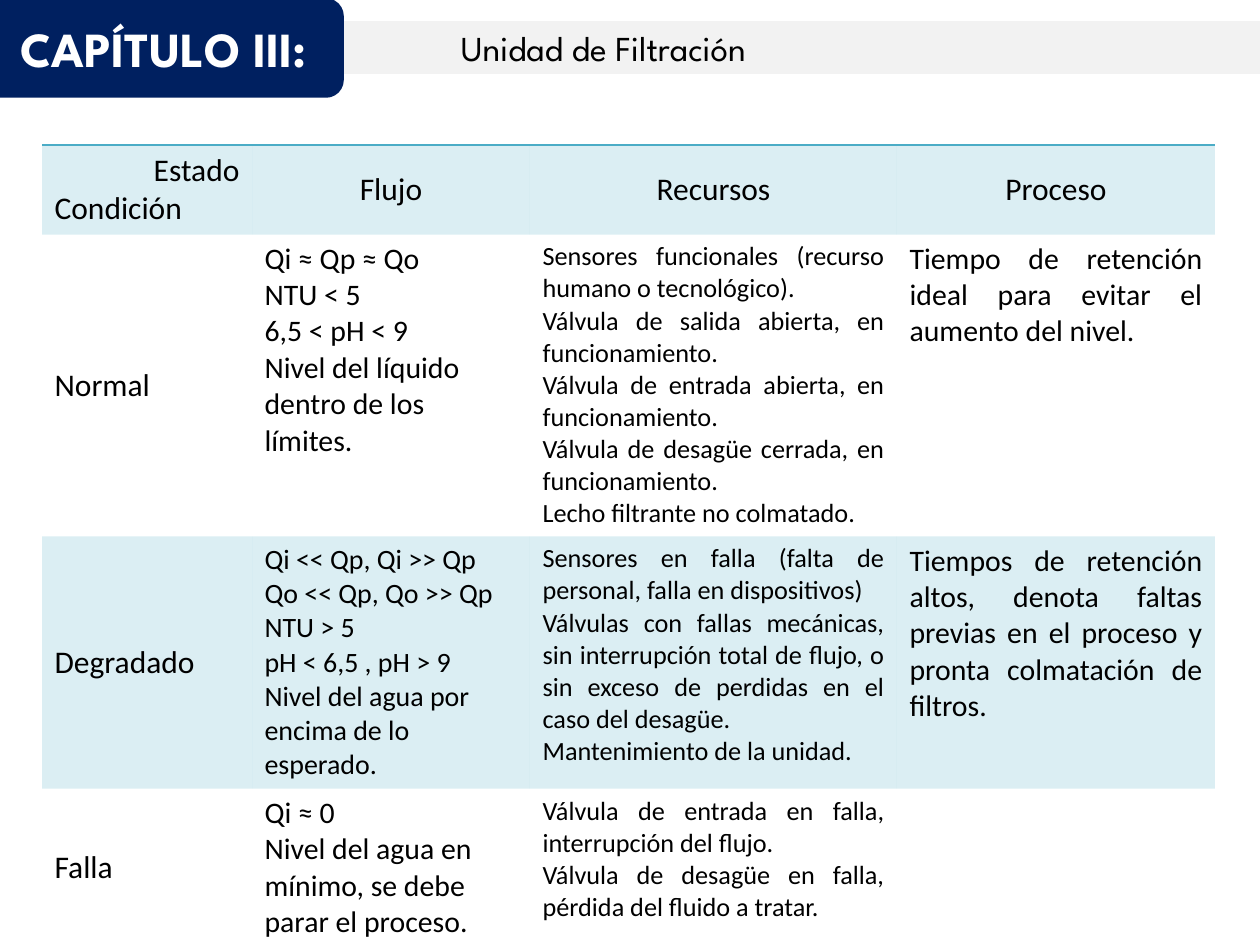
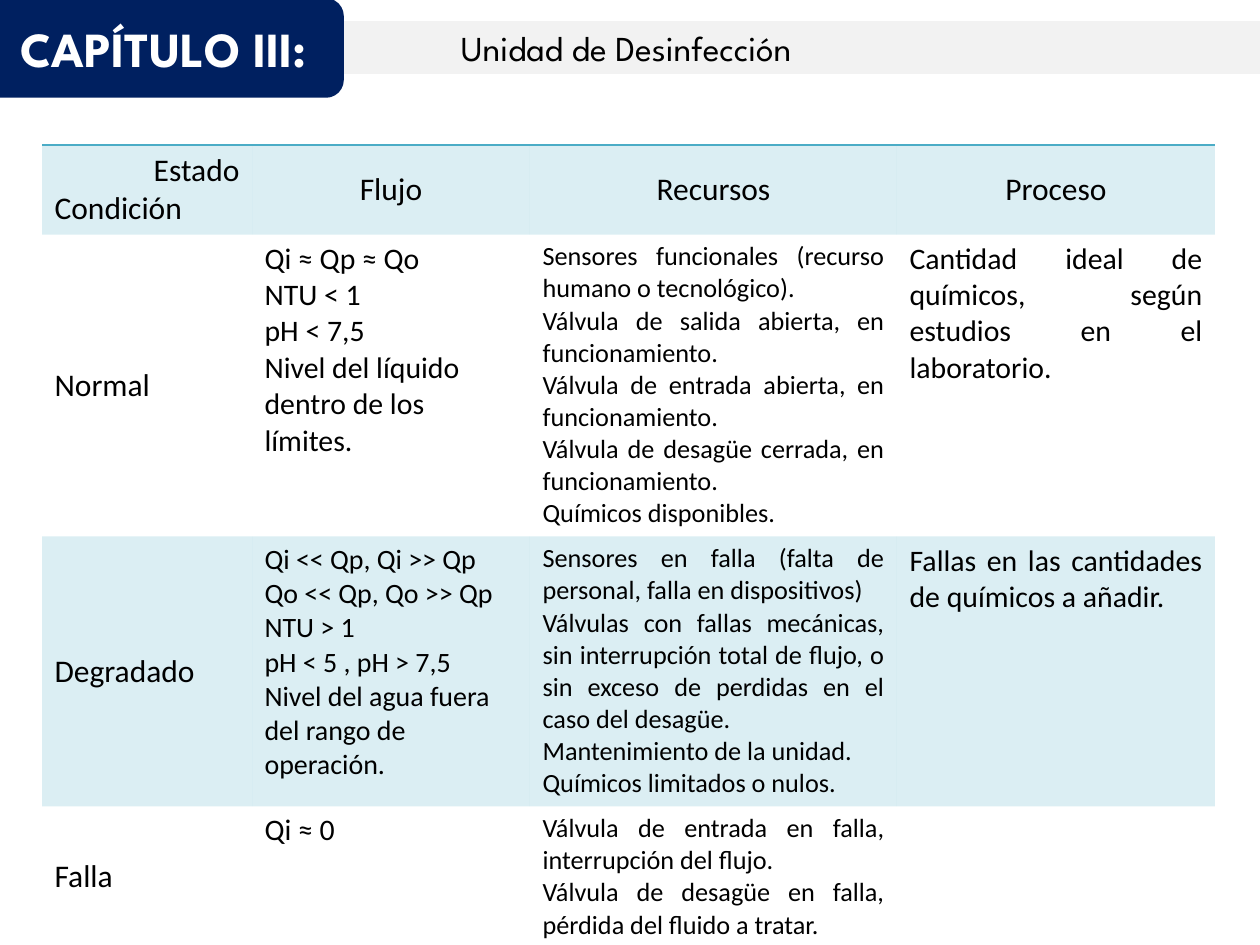
import lxml.etree
import pptx
import pptx.dml.color
import pptx.enum.shapes
import pptx.enum.text
import pptx.oxml.ns
import pptx.util

ALIGN = pptx.enum.text.PP_ALIGN
ANCHOR = pptx.enum.text.MSO_ANCHOR
COLORS = {"navy": "002060", "band": "F2F2F2", "accent": "4BACC6", "black": "000000", "white": "FFFFFF"}
TITLE_FONT, TABLE_FONT = "League Spartan", "Calibri"
NO_STYLE_TABLE = "{2D5ABB26-0587-4C30-8999-92F81FD0307C}"
TINT_ALPHA = 20000

# Content
CHAPTER = "CAPÍTULO III:"
CORNER = ["Estado", "Condición"]
HEADINGS = ["Flujo", "Recursos", "Proceso"]
STATES = ["Normal", "Degradado", "Falla"]
NORMAL_FLOW = "Nivel del líquido dentro de los límites."
NORMAL_RESOURCES = [
    "Sensores funcionales (recurso humano o tecnológico).",
    "Válvula de salida abierta, en funcionamiento.",
    "Válvula de entrada abierta, en funcionamiento.",
    "Válvula de desagüe cerrada, en funcionamiento.",
]
DEGRADED_FLOW = ["Qi << Qp, Qi >> Qp", "Qo << Qp, Qo >> Qp"]
DEGRADED_RESOURCES = [
    "Sensores en falla (falta de personal, falla en dispositivos)",
    "Válvulas con fallas mecánicas, sin interrupción total de flujo, "
    "o sin exceso de perdidas en el caso del desagüe.",
    "Mantenimiento de la unidad.",
]
FAILURE_RESOURCES = [
    "Válvula de entrada en falla, interrupción del flujo.",
    "Válvula de desagüe en falla, pérdida del fluido a tratar.",
]
# Each unit has one row per state: flow, resources, process
UNITS = {
    "Unidad de Filtración": [
        (["Qi ≈ Qp ≈ Qo", "NTU < 5", "6,5 < pH < 9", NORMAL_FLOW],
         NORMAL_RESOURCES + ["Lecho filtrante no colmatado."],
         ["Tiempo de retención ideal para evitar el aumento del nivel."]),
        (DEGRADED_FLOW + ["NTU > 5", "pH < 6,5 , pH > 9", "Nivel del agua por encima de lo esperado."],
         DEGRADED_RESOURCES,
         ["Tiempos de retención altos, denota faltas previas en el proceso "
          "y pronta colmatación de filtros."]),
        (["Qi ≈ 0", "Nivel del agua en mínimo, se debe parar el proceso."], FAILURE_RESOURCES, []),
    ],
    "Unidad de Desinfección": [
        (["Qi ≈ Qp ≈ Qo", "NTU < 1", "pH < 7,5", NORMAL_FLOW],
         NORMAL_RESOURCES + ["Químicos disponibles."],
         ["Cantidad ideal de químicos, según estudios en el laboratorio."]),
        (DEGRADED_FLOW + ["NTU > 1", "pH < 5 , pH > 7,5", "Nivel del agua fuera del rango de operación."],
         DEGRADED_RESOURCES + ["Químicos limitados o nulos."],
         ["Fallas en las cantidades de químicos a añadir."]),
        (["Qi ≈ 0"], FAILURE_RESOURCES, []),
    ],
}

# Layout in px
PX_PER_INCH = 126
SLIDE_SIZE = (1260, 945)
BAND_BOX = (323, 23, 937, 49)
BAND_INDENT = 138
BADGE_BOX = (-15, 0, 357, 96)
TABLE_LEFT, TABLE_TOP = 42, 145
COLUMN_WIDTHS = [210, 278, 367, 318]
ROW_HEIGHTS = [84, 253, 223, 123]
# Text size of flow, resources and process in each state
BODY_SIZES = [(17, 15, 17), (16, 15, 17), (17, 15, 17)]


def px(length):
    return pptx.util.Emu(round(length * pptx.util.Inches(1) / PX_PER_INCH))


def rgb(name):
    return pptx.dml.color.RGBColor.from_string(COLORS[name])


def write_text(frame, lines, size=18, font=TABLE_FONT, color="black", bold=False, aligns=(ALIGN.LEFT,)):
    """Write one paragraph per line; the last alignment covers the remaining lines."""
    for index, line in enumerate(lines):
        paragraph = frame.add_paragraph() if index else frame.paragraphs[0]
        paragraph.alignment = aligns[min(index, len(aligns) - 1)]
        run = paragraph.add_run()
        run.text = line
        run.font.size = pptx.util.Pt(size)
        run.font.name = font
        run.font.bold = bold
        run.font.color.rgb = rgb(color)


def style_box(shape, color):
    shape.fill.solid()
    shape.fill.fore_color.rgb = rgb(color)
    shape.line.color.rgb = rgb(color)
    shape.line.width = pptx.util.Pt(2)
    shape.shadow.inherit = False
    shape.text_frame.vertical_anchor = ANCHOR.MIDDLE
    shape.text_frame.word_wrap = True
    shape.text_frame.auto_size = pptx.enum.text.MSO_AUTO_SIZE.NONE


def add_header(slide, unit):
    band = slide.shapes.title
    band.left, band.top, band.width, band.height = map(px, BAND_BOX)
    style_box(band, "band")
    band.text_frame.margin_left = px(BAND_INDENT)
    write_text(band.text_frame, [unit], size=20, font=TITLE_FONT)

    badge = slide.shapes.add_shape(pptx.enum.shapes.MSO_SHAPE.ROUNDED_RECTANGLE, *map(px, BADGE_BOX))
    style_box(badge, "navy")
    write_text(badge.text_frame, [CHAPTER], size=28, font=TITLE_FONT, color="white",
               bold=True, aligns=(ALIGN.CENTER,))


def tint_cell(cell):
    cell.fill.solid()
    cell.fill.fore_color.rgb = rgb("accent")
    color = cell._tc.tcPr.find(".//" + pptx.oxml.ns.qn("a:srgbClr"))
    lxml.etree.SubElement(color, pptx.oxml.ns.qn("a:alpha"), val=str(TINT_ALPHA))


def add_border(cell, side):
    """Draw a thin accent line on the top (lnT) or bottom (lnB) of a cell."""
    line = lxml.etree.Element(pptx.oxml.ns.qn("a:" + side), w=str(pptx.util.Pt(1)))
    fill = lxml.etree.SubElement(line, pptx.oxml.ns.qn("a:solidFill"))
    lxml.etree.SubElement(fill, pptx.oxml.ns.qn("a:srgbClr"), val=COLORS["accent"])
    cell._tc.get_or_add_tcPr().insert(0, line)


def fill_cells(table, rows):
    write_text(table.cell(0, 0).text_frame, CORNER, aligns=(ALIGN.RIGHT, ALIGN.LEFT))
    table.cell(0, 0).vertical_anchor = ANCHOR.BOTTOM
    for column, heading in enumerate(HEADINGS, 1):
        cell = table.cell(0, column)
        cell.vertical_anchor = ANCHOR.MIDDLE
        write_text(cell.text_frame, [heading], aligns=(ALIGN.CENTER,))
    for row, (state, parts, sizes) in enumerate(zip(STATES, rows, BODY_SIZES), 1):
        table.cell(row, 0).vertical_anchor = ANCHOR.MIDDLE
        write_text(table.cell(row, 0).text_frame, [state])
        for column, (lines, size) in enumerate(zip(parts, sizes), 1):
            align = ALIGN.LEFT if column == 1 else ALIGN.JUSTIFY
            write_text(table.cell(row, column).text_frame, lines, size=size, aligns=(align,))


def add_state_table(slide, rows):
    frame = slide.shapes.add_table(
        len(ROW_HEIGHTS), len(COLUMN_WIDTHS), px(TABLE_LEFT), px(TABLE_TOP),
        px(sum(COLUMN_WIDTHS)), px(sum(ROW_HEIGHTS)))
    table = frame.table
    table.first_row = table.horz_banding = False
    table._tbl.tblPr.find(pptx.oxml.ns.qn("a:tableStyleId")).text = NO_STYLE_TABLE
    for column, width in zip(table.columns, COLUMN_WIDTHS):
        column.width = px(width)
    for row, height in zip(table.rows, ROW_HEIGHTS):
        row.height = px(height)
    fill_cells(table, rows)

    for index, row in enumerate(table.rows):
        for cell in row.cells:
            if index % 2 == 0:
                tint_cell(cell)
            else:
                cell.fill.background()
            if index == 0:
                add_border(cell, "lnT")
            elif index == len(ROW_HEIGHTS) - 1:
                add_border(cell, "lnB")


def main():
    presentation = pptx.Presentation()
    presentation.slide_width, presentation.slide_height = map(px, SLIDE_SIZE)
    title_only = presentation.slide_layouts[5]
    for unit, rows in UNITS.items():
        slide = presentation.slides.add_slide(title_only)
        add_header(slide, unit)
        add_state_table(slide, rows)
    presentation.save("out.pptx")


if __name__ == "__main__":
    main()
